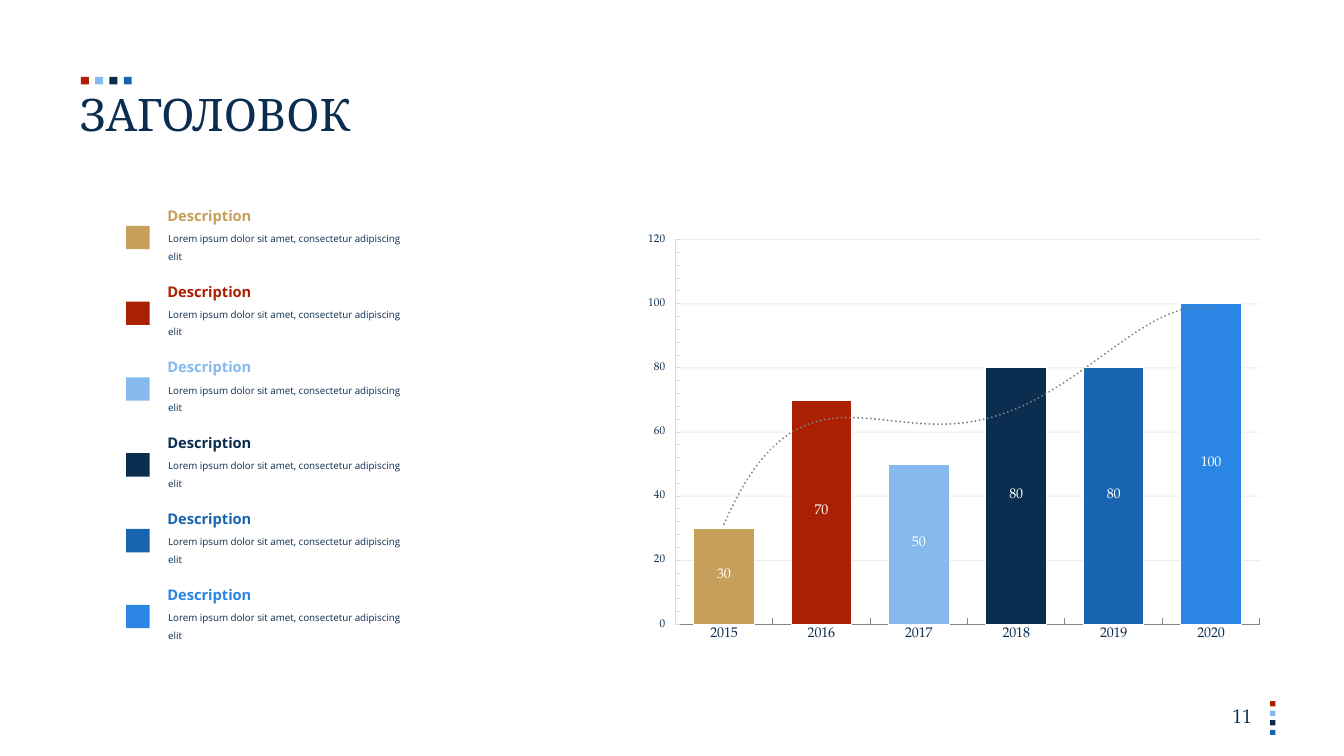
from lxml import etree
from pptx import Presentation
from pptx.chart.data import CategoryChartData
from pptx.dml.color import RGBColor
from pptx.enum.chart import (XL_CHART_TYPE, XL_LABEL_POSITION as LABEL,
                             XL_TICK_LABEL_POSITION as TICK_LABEL, XL_TICK_MARK as TICK)
from pptx.enum.shapes import MSO_SHAPE
from pptx.enum.text import MSO_ANCHOR as ANCHOR, PP_ALIGN as ALIGN
from pptx.oxml import parse_xml
from pptx.oxml.ns import nsdecls, qn
from pptx.util import Cm, Pt

COLORS = {
    "gold": "C69F5A", "red": "AB1F03", "sky": "86BAEE",
    "navy": "0B2D50", "blue": "1864B0", "azure": "2A86E2",
    "white": "FFFFFF", "grid": "D9D9D9", "axis": "868686", "trend": "808080",
}
BARS = ["gold", "red", "sky", "navy", "blue", "azure"]
ACCENTS = ["red", "sky", "navy", "blue"]
YEARS = ["2015", "2016", "2017", "2018", "2019", "2020"]
VALUES = [30, 70, 50, 80, 80, 100]
SERIF, SANS, TITLE_FONT = "TeX Gyre Pagella", "Open Sans", "Cambria"
LOREM = "Lorem ipsum dolor sit amet, consectetur adipiscing elit"


def rgb(name):
    return RGBColor.from_string(COLORS[name])


def set_font(font, size, color, name, bold=False):
    font.size, font.name, font.bold = Pt(size), name, bold
    font.color.rgb = rgb(color)


def add_rect(slide, x, y, w, h, color):
    sp = slide.shapes.add_shape(MSO_SHAPE.RECTANGLE, Cm(x), Cm(y), Cm(w), Cm(h))
    sp.shadow.inherit = False
    sp.fill.solid()
    sp.fill.fore_color.rgb = rgb(color)
    sp.line.fill.background()


def add_text(slide, text, x, y, w, h, *, size, color="navy", font=SANS, bold=False,
             align=ALIGN.LEFT, anchor=ANCHOR.TOP, spacing=1.0, inset=True):
    tf = slide.shapes.add_textbox(Cm(x), Cm(y), Cm(w), Cm(h)).text_frame
    tf.word_wrap = True
    tf.vertical_anchor = anchor
    if not inset:
        tf.margin_left = tf.margin_top = tf.margin_right = tf.margin_bottom = 0
    p = tf.paragraphs[0]
    p.alignment, p.line_spacing = align, spacing
    r = p.add_run()
    r.text = text
    set_font(r.font, size, color, font, bold)


def add_accents(slide):
    """Four small squares above the title and four beside the page number."""
    for i, color in enumerate(ACCENTS):
        add_rect(slide, 2.04 + 0.36 * i, 1.94, 0.2, 0.19, color)
        add_rect(slide, 32 + 0.01, 17.67 + 0.24 * i, 0.13, 0.13, color)


def add_legend_item(slide, y, color):
    add_rect(slide, 3.18, y, 0.59, 0.59, color)
    add_text(slide, "Description", 4.22, y - 0.48, 2.77, 0.84,
             size=10.5, color=color, bold=True, inset=False)
    add_text(slide, LOREM, 3.99, y - 0.1, 6.55, 1.12, size=7, spacing=1.5)


def set_plot_layout(chart, x, y, w, h):
    area = chart._chartSpace.chart.plotArea
    for old in area.findall(qn("c:layout")):
        area.remove(old)
    area.insert(0, parse_xml(
        f'<c:layout {nsdecls("c")}><c:manualLayout><c:layoutTarget val="inner"/>'
        f'<c:xMode val="edge"/><c:yMode val="edge"/><c:x val="{x}"/><c:y val="{y}"/>'
        f'<c:w val="{w}"/><c:h val="{h}"/></c:manualLayout></c:layout>'))


def add_trendline(series, order):
    series._element.find(qn("c:cat")).addprevious(parse_xml(
        f'<c:trendline {nsdecls("c", "a")}><c:spPr><a:ln w="{Pt(1.5)}" cap="rnd">'
        f'<a:solidFill><a:srgbClr val="{COLORS["trend"]}"/></a:solidFill>'
        f'<a:prstDash val="sysDot"/></a:ln></c:spPr><c:trendlineType val="poly"/>'
        f'<c:order val="{order}"/><c:dispRSqr val="0"/><c:dispEq val="0"/></c:trendline>'))


def style_axes(chart):
    cat, val = chart.category_axis, chart.value_axis
    cat.major_tick_mark, cat.minor_tick_mark = TICK.INSIDE, TICK.NONE
    cat.has_major_gridlines = False
    set_font(cat.tick_labels.font, 10, "navy", SERIF)
    val.major_tick_mark, val.minor_tick_mark = TICK.NONE, TICK.INSIDE
    val.tick_label_position = TICK_LABEL.LOW
    val.minimum_scale, val.maximum_scale, val.major_unit = 0, 120, 20
    val.has_major_gridlines = True
    set_font(val.tick_labels.font, 8, "navy", SERIF)
    grid = val.major_gridlines.format.line
    for line, color in ((cat.format.line, "axis"), (val.format.line, "grid"), (grid, "grid")):
        line.color.rgb = rgb(color)
        line.width = Pt(0.75)
    shade = val.major_gridlines._xAx.find(qn("c:majorGridlines")).find(".//" + qn("a:srgbClr"))
    etree.SubElement(shade, qn("a:alpha")).set("val", "48000")


def add_year_chart(slide, x, y, w, h):
    data = CategoryChartData()
    data.categories = YEARS
    data.add_series("Series 1", VALUES)
    chart = slide.shapes.add_chart(XL_CHART_TYPE.COLUMN_CLUSTERED,
                                   Cm(x), Cm(y), Cm(w), Cm(h), data).chart
    chart.has_legend = chart.has_title = False
    set_font(chart.font, 10, "navy", SANS)
    plot = chart.plots[0]
    plot.gap_width, plot.overlap, plot.vary_by_categories = 61, -51, False
    series = plot.series[0]
    for i, color in enumerate(BARS):
        fmt = series.points[i].format
        fmt.fill.solid()
        fmt.fill.fore_color.rgb = rgb(color)
        fmt.line.color.rgb = rgb("white")
        fmt.line.width = Pt(0.75)
    labels = series.data_labels
    labels.show_value, labels.position = True, LABEL.CENTER
    set_font(labels.font, 10, "white", SERIF)
    add_trendline(series, order=4)
    style_axes(chart)
    set_plot_layout(chart, 0.12, 0.09, 0.88, 0.8)


def main():
    prs = Presentation()
    prs.slide_width, prs.slide_height = Cm(33.87), Cm(19.05)
    slide = prs.slides.add_slide(prs.slide_layouts[6])
    add_accents(slide)
    add_text(slide, "11", 30.4, 17.45, 1.4, 1.19, size=14, font=SERIF,
             align=ALIGN.RIGHT, anchor=ANCHOR.MIDDLE)
    add_text(slide, "ЗАГОЛОВОК", 1.75, 2.31, 9.63, 1.27, size=32, font=TITLE_FONT,
             anchor=ANCHOR.MIDDLE, spacing=0.9)
    add_year_chart(slide, 15.01, 4.95, 16.75, 12.12)
    for i, color in enumerate(BARS):
        add_legend_item(slide, 5.69 + 1.91 * i, color)
    prs.save("out.pptx")


if __name__ == "__main__":
    main()
